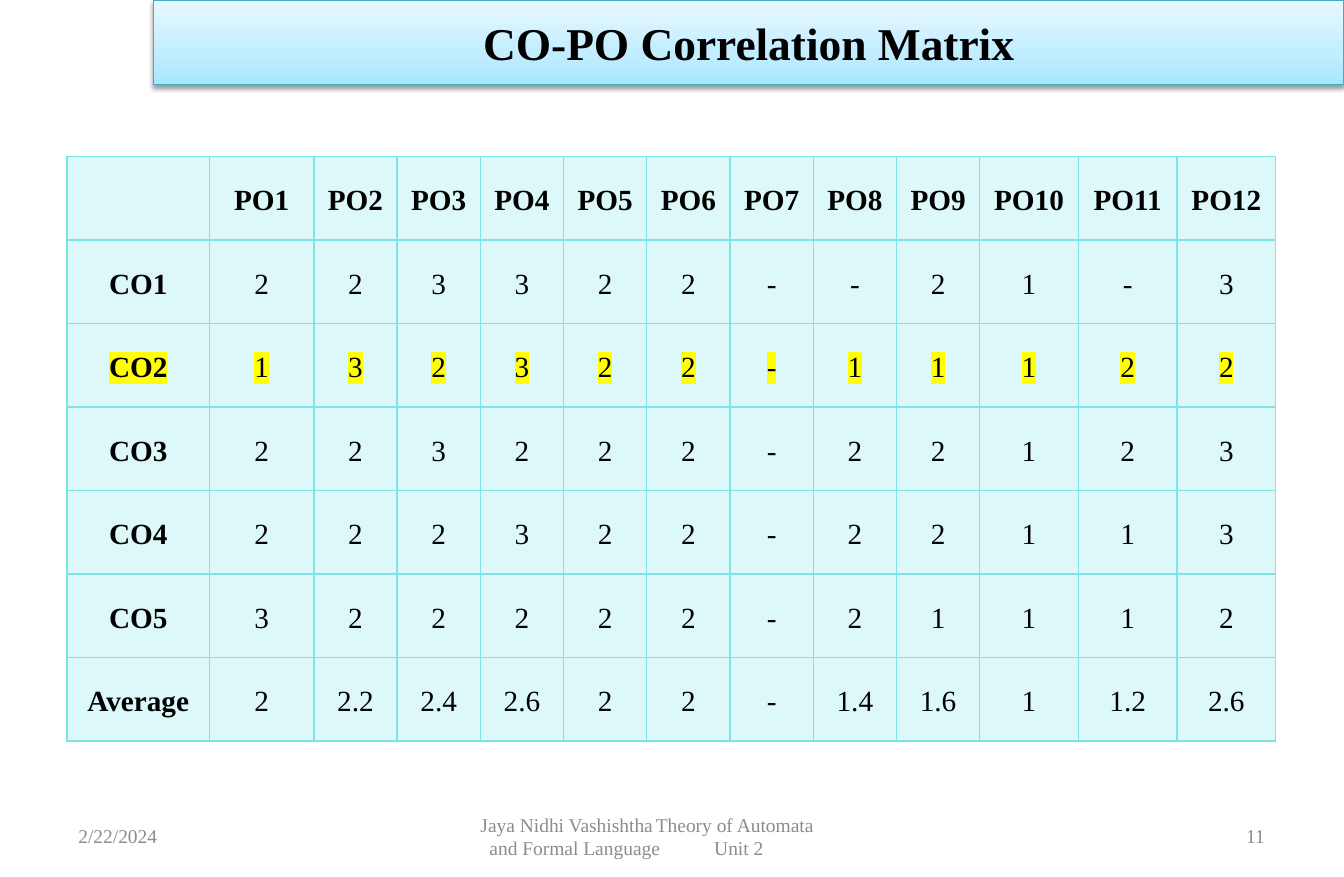
import copy

import lxml.etree
import pptx
import pptx.dml.color
import pptx.enum.shapes
import pptx.enum.text
import pptx.oxml
import pptx.oxml.ns
import pptx.util

Pt = pptx.util.Pt
RGBColor = pptx.dml.color.RGBColor
ALIGN = pptx.enum.text.PP_ALIGN
MIDDLE = pptx.enum.text.MSO_ANCHOR.MIDDLE
qn = pptx.oxml.ns.qn
NS = pptx.oxml.ns.nsdecls("a")

BLACK = RGBColor(0x00, 0x00, 0x00)
GREY = RGBColor(0x8C, 0x8C, 0x8C)
AQUA = RGBColor(0x7B, 0xE5, 0xE5)
YELLOW = RGBColor(0xFF, 0xFF, 0x00)
BANNER_EDGE = RGBColor(0x46, 0xAA, 0xC5)
BANNER_STOPS = [
    (0, RGBColor(0xA7, 0xE6, 0xFF)),
    (0.35, RGBColor(0xC1, 0xED, 0xFF)),
    (1, RGBColor(0xE7, 0xF8, 0xFF)),
]

MATRIX = [
    ["", "PO1", "PO2", "PO3", "PO4", "PO5", "PO6", "PO7", "PO8", "PO9", "PO10", "PO11", "PO12"],
    ["CO1", "2", "2", "3", "3", "2", "2", "-", "-", "2", "1", "-", "3"],
    ["CO2", "1", "3", "2", "3", "2", "2", "-", "1", "1", "1", "2", "2"],
    ["CO3", "2", "2", "3", "2", "2", "2", "-", "2", "2", "1", "2", "3"],
    ["CO4", "2", "2", "2", "3", "2", "2", "-", "2", "2", "1", "1", "3"],
    ["CO5", "3", "2", "2", "2", "2", "2", "-", "2", "1", "1", "1", "2"],
    ["Average", "2", "2.2", "2.4", "2.6", "2", "2", "-", "1.4", "1.6", "1", "1.2", "2.6"],
]
COLUMN_WIDTHS = [88, 64.2] + [51.3] * 8 + [60.8] * 3
MATRIX_HEIGHT = 360


def write(paragraph, text, size, color, bold, align):
    run = paragraph.add_run()
    run.text = text
    paragraph.alignment = align
    font_format = {"name": "Times New Roman", "size": Pt(size), "bold": bold}
    for attribute, value in font_format.items():
        setattr(run.font, attribute, value)
    run.font.color.rgb = color
    return run


deck = pptx.Presentation()
deck.slide_width, deck.slide_height = Pt(828), Pt(540)
slide = deck.slides.add_slide(deck.slide_layouts[6])

matrix = slide.shapes.add_table(
    len(MATRIX), len(COLUMN_WIDTHS), Pt(41.2), Pt(96.4), Pt(sum(COLUMN_WIDTHS)), Pt(MATRIX_HEIGHT)
).table
matrix.first_row = matrix.horz_banding = False
for column, width in zip(matrix.columns, COLUMN_WIDTHS):
    column.width = Pt(width)

cell_format = {
    "vertical_anchor": MIDDLE,
    "margin_left": Pt(5),
    "margin_right": Pt(5),
    "margin_top": 0,
    "margin_bottom": 0,
}
for r, scores in enumerate(MATRIX):
    matrix.rows[r].height = Pt(MATRIX_HEIGHT / len(MATRIX))
    for c, score in enumerate(scores):
        cell = matrix.cell(r, c)
        for attribute, value in cell_format.items():
            setattr(cell, attribute, value)
        cell.fill.solid()
        cell.fill.fore_color.rgb = AQUA
        properties = cell._tc.tcPr
        tint = properties.find(".//" + qn("a:srgbClr"))
        lxml.etree.SubElement(tint, qn("a:alpha"), val="25000")
        for position, side in enumerate("LRTB"):
            border = pptx.oxml.parse_xml(
                f'<a:ln{side} {NS} w="{Pt(1)}"><a:solidFill><a:srgbClr val="{AQUA}"/>'
                f"</a:solidFill></a:ln{side}>"
            )
            properties.insert(position, border)
        if not score:
            continue
        is_heading = r == 0 or c == 0
        paragraph = cell.text_frame.paragraphs[0]
        paragraph.line_spacing = 1.15
        paragraph.space_after = Pt(0 if is_heading else 10)
        run = write(paragraph, score, 18, BLACK, is_heading, ALIGN.CENTER)
        if scores[0] == "CO2":
            highlight = pptx.oxml.parse_xml(
                f'<a:highlight {NS}><a:srgbClr val="{YELLOW}"/></a:highlight>'
            )
            run.font._element.find(qn("a:solidFill")).addnext(highlight)

FOOTERS = [
    (41.2, 193, 7.2, ALIGN.LEFT, [("2/22/2024", 0, None)]),
    (283, 262, 13, ALIGN.LEFT, [
        ("Jaya Nidhi Vashishtha\tTheory of Automata", 0, 138.6),
        ("and Formal Language\tUnit 2", 5.5, 134.3),
    ]),
    (593.3, 193, 7.2, ALIGN.RIGHT, [("11", 0, None)]),
]
for left, width, inset, align, lines in FOOTERS:
    footer = slide.shapes.add_textbox(Pt(left), Pt(500.4), Pt(width), Pt(28.8)).text_frame
    footer.word_wrap = True
    footer.vertical_anchor = MIDDLE
    footer.margin_left = Pt(inset)
    for i, (text, indent, tab) in enumerate(lines):
        paragraph = footer.add_paragraph() if i else footer.paragraphs[0]
        if tab:
            layout = paragraph._p.get_or_add_pPr()
            layout.set("marL", "0")
            layout.set("indent", str(Pt(indent)))
            tabs = lxml.etree.SubElement(layout, qn("a:tabLst"))
            lxml.etree.SubElement(tabs, qn("a:tab"), pos=str(Pt(tab)), algn="l")
        write(paragraph, text, 12, GREY, False, align)

banner = slide.shapes.add_shape(
    pptx.enum.shapes.MSO_SHAPE.RECTANGLE, Pt(94.4), Pt(0.5), Pt(733.6), Pt(51.4)
)
banner.fill.gradient()
banner.fill.gradient_angle = 90
stop_list = banner._element.spPr.find(".//" + qn("a:gsLst"))
stop_list.append(copy.deepcopy(stop_list[0]))
for stop, (position, color) in zip(banner.fill.gradient_stops, BANNER_STOPS):
    stop.position = position
    stop.color.rgb = color
banner.line.color.rgb = BANNER_EDGE
banner.line.width = Pt(0.75)
banner.shadow.inherit = False
banner._element.spPr.find(qn("a:effectLst")).append(pptx.oxml.parse_xml(
    f'<a:outerShdw {NS} blurRad="{Pt(3.1)}" dist="{Pt(1.6)}" dir="5400000" rotWithShape="0">'
    f'<a:srgbClr val="{BLACK}"><a:alpha val="38000"/></a:srgbClr></a:outerShdw>'
))
banner.text_frame.word_wrap = True
banner.text_frame.vertical_anchor = MIDDLE
write(banner.text_frame.paragraphs[0], "CO-PO Correlation Matrix", 28, BLACK, True, ALIGN.CENTER)

deck.save("out.pptx")
